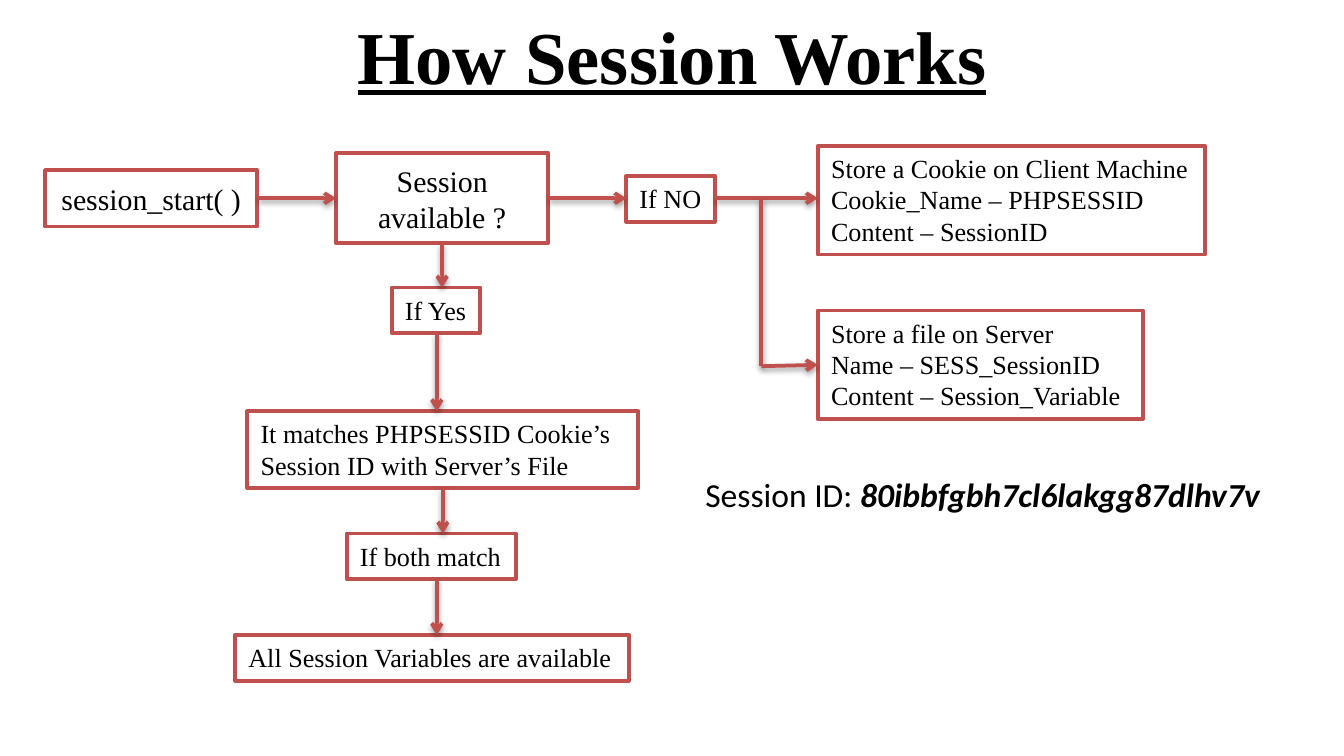
from collections import namedtuple

from lxml.etree import SubElement
from pptx import Presentation
from pptx.dml.color import RGBColor
from pptx.enum.shapes import MSO_CONNECTOR as Connector, MSO_SHAPE as Shape
from pptx.enum.text import MSO_ANCHOR as Anchor, PP_ALIGN as Align
from pptx.oxml.ns import qn
from pptx.util import Inches, Pt

COLORS = {"box": "FFFFFF", "line": "C0504D", "text": "000000"}
SERIF, SANS = "Times New Roman", "Calibri"
Box = namedtuple("Box", "left top width height")

# Widescreen slide, 16 by 9
presentation = Presentation()
presentation.slide_width, presentation.slide_height = Inches(10), Inches(10 * 9 / 16)
slide = presentation.slides.add_slide(presentation.slide_layouts[6])

# Grid of square cells; all lengths below count columns and rows
COLUMN = ROW = presentation.slide_width / 100


def color(name):
    return RGBColor.from_string(COLORS[name])


def point(region, column, row):
    return round((region.left + column) * COLUMN), round((region.top + row) * ROW)


def place(region, box):
    """Turn a box within a region into slide lengths."""
    return (*point(region, box.left, box.top),
            round(box.width * COLUMN), round(box.height * ROW))


def write(shape, paragraphs, size, font=SERIF, align=Align.LEFT,
          anchor=Anchor.TOP, wrap=True):
    """Fill a shape with paragraphs, each a list of (text, format) runs."""
    frame = shape.text_frame
    frame.word_wrap, frame.vertical_anchor = wrap, anchor
    for index, runs in enumerate(paragraphs):
        paragraph = frame.paragraphs[0] if index == 0 else frame.add_paragraph()
        paragraph.alignment = align
        for text, extra in runs:
            run = paragraph.add_run()
            run.text = text
            run.font.color.rgb = color("text")
            for key, value in {"name": font, "size": Pt(size), **extra}.items():
                setattr(run.font, key, value)


def add_box(region, box, *lines, size=14, **layout):
    shape = slide.shapes.add_shape(Shape.RECTANGLE, *place(region, box))
    shape.shadow.inherit = False
    shape.fill.solid()
    shape.fill.fore_color.rgb = color("box")
    shape.line.color.rgb = color("line")
    shape.line.width = Pt(2)
    write(shape, [[(line, {})] for line in lines], size, **layout)


def add_line(region, start, end, arrow=True):
    line = slide.shapes.add_connector(
        Connector.STRAIGHT, *point(region, *start), *point(region, *end))
    line.line.color.rgb = color("line")
    line.line.width = Pt(2)
    if arrow:
        SubElement(line.line._get_or_add_ln(), qn("a:tailEnd"), type="arrow")
    # Soft shadow straight below the line
    effects = SubElement(line._element.spPr, qn("a:effectLst"))
    shadow = SubElement(effects, qn("a:outerShdw"), blurRad=str(Pt(3.1)),
                        dist=str(Pt(1.6)), dir="5400000", rotWithShape="0")
    tint = SubElement(shadow, qn("a:srgbClr"), val=COLORS["text"])
    SubElement(tint, qn("a:alpha"), val="38000")


def add_text(region, runs, size, **layout):
    shape = slide.shapes.add_textbox(*place(region, region._replace(left=0, top=0)))
    write(shape, [runs], size, **layout)


def add_title(region):
    add_text(region, [("How Session Works", {"bold": True, "underline": True})], 40,
             align=Align.CENTER, anchor=Anchor.MIDDLE)


def add_question(region):
    layout = {"size": 16, "align": Align.CENTER, "anchor": Anchor.MIDDLE}
    add_box(region, Box(0, 1.85, 15.8, 4.2), "session_start( )", **layout)
    add_box(region, Box(21.65, 0.6, 15.8, 6.7), "Session available ?", **layout)
    add_line(region, (15.85, 3.95), (21.65, 3.95))


def add_no_branch(region):
    add_box(region, Box(5.75, 2.25, 6.6, 3.4), "If NO", wrap=False)
    add_box(region, Box(20, 0, 28.8, 8.1), "Store a Cookie on Client Machine",
            "Cookie_Name – PHPSESSID", "Content – SessionID", wrap=False)
    add_box(region, Box(20, 12.25, 24.2, 8.1), "Store a file on Server",
            "Name – SESS_SessionID", "Content – Session_Variable")
    add_line(region, (0, 3.9), (5.75, 3.9))
    add_line(region, (12.35, 3.9), (20, 3.9))
    # Fork down to the server file
    add_line(region, (15.8, 4), (15.8, 16.4), arrow=False)
    add_line(region, (15.8, 16.4), (20, 16.3))


def add_yes_branch(region):
    steps = [
        ("If Yes", Box(11.65, 3.3, 6.6, 3.4), 15.4, False),
        ("It matches PHPSESSID Cookie’s Session ID with Server’s File",
         Box(0.9, 12.5, 29.1, 5.7), 15, True),
        ("If both match", Box(8.3, 21.6, 12.6, 3.4), 15.45, False),
        ("All Session Variables are available", Box(0, 29.15, 29.3, 3.4), 15, False),
    ]
    bottom = 0
    for text, box, column, wrap in steps:
        add_box(region, box, text, wrap=wrap)
        add_line(region, (column, bottom), (column, box.top))
        bottom = box.top + box.height


def add_session_id(region):
    add_text(region, [("Session ID: ", {}),
                      ("80ibbfgbh7cl6lakgg87dlhv7v", {"bold": True, "italic": True})],
             18, font=SANS, wrap=False)


add_question(Box(3.35, 10.8, 37.5, 8.1))
add_no_branch(Box(40.85, 10.85, 48.8, 20.4))
add_yes_branch(Box(17.5, 18.1, 30, 32.6))
add_session_id(Box(51.5, 34.8, 43.7, 4))
add_title(Box(5, -0.2, 90, 8.5))

presentation.save("out.pptx")
